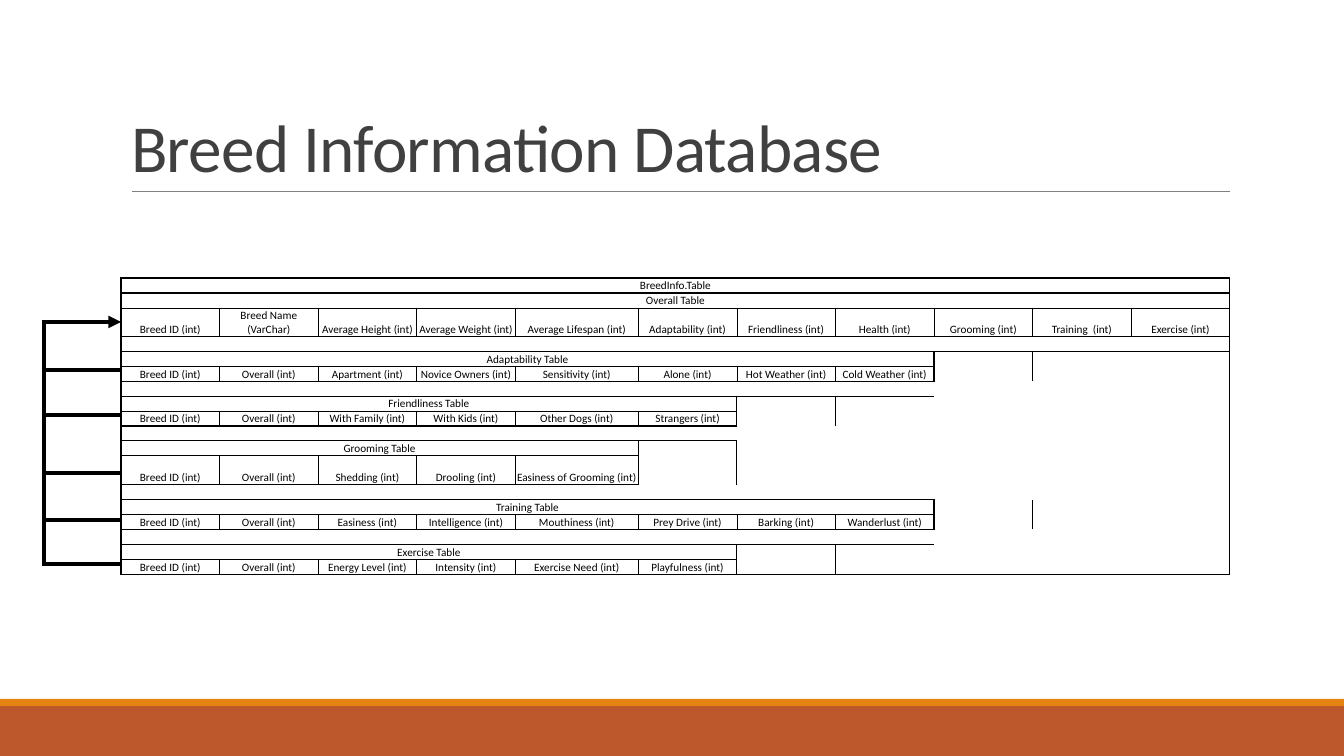
import dataclasses

import lxml.etree
import pptx
import pptx.dml.color
import pptx.enum.shapes
import pptx.enum.text
import pptx.oxml
import pptx.oxml.ns
import pptx.util

PX = 12192000 / 1344  # EMU in one pixel


@dataclasses.dataclass(frozen=True)
class Theme:
    """Colours, font and type sizes of the slide."""
    font: str = "Calibri"
    heading: str = "404040"
    ink: str = "000000"
    rule: str = "808080"
    rust: str = "BD582C"
    orange: str = "E48312"
    title_size: int = 48
    cell_size: int = 8
    thin: float = 0.5
    medium: float = 1
    thick: float = 3


THEME = Theme()
qn = pptx.oxml.ns.qn
rgb = pptx.dml.color.RGBColor.from_string


def px(pixels):
    """Turn pixels into EMU."""
    return pptx.util.Emu(round(pixels * PX))


def add_line(start, end, colour, weight):
    """Draw a straight shadowless line and return its a:ln element."""
    line = slide.shapes.add_connector(
        pptx.enum.shapes.MSO_CONNECTOR.STRAIGHT, *map(px, start + end))
    line.line.color.rgb = rgb(colour)
    line.line.width = pptx.util.Pt(weight)
    properties = line._element.spPr
    lxml.etree.SubElement(properties, qn("a:effectLst"))
    return properties.find(qn("a:ln"))


deck = pptx.Presentation()
deck.slide_width, deck.slide_height = px(1344), px(756)
slide = deck.slides.add_slide(deck.slide_layouts[5])

# Footer bands and the rule under the title
for top, height, colour in ((706, 50, THEME.rust), (699, 7, THEME.orange)):
    band = slide.shapes.add_shape(
        pptx.enum.shapes.MSO_SHAPE.RECTANGLE, 0, px(top), px(1344), px(height))
    band.shadow.inherit = False
    band.fill.solid()
    band.fill.fore_color.rgb = rgb(colour)
    band.line.fill.background()
add_line((132, 191), (1230, 191), THEME.rule, THEME.thin)

# Title
title = slide.shapes.title
title.left, title.top, title.width, title.height = px(121), px(31), px(1109), px(160)
title.text_frame.word_wrap = True
title.text_frame.auto_size = pptx.enum.text.MSO_AUTO_SIZE.NONE
title.text_frame.vertical_anchor = pptx.enum.text.MSO_ANCHOR.BOTTOM
heading = title.text_frame.paragraphs[0]
heading.alignment = pptx.enum.text.PP_ALIGN.LEFT
heading.line_spacing = 0.85
heading_run = heading.add_run()
heading_run.text = "Breed Information Database"
heading_run.font.name = THEME.font
heading_run.font.size = pptx.util.Pt(THEME.title_size)
heading_run.font.color.rgb = rgb(THEME.heading)
heading_run.font._element.set("spc", "-50")

# Each breed table: name, height of its field row, fields
BREED_TABLES = (
    ("Overall", 28, ("Breed ID (int)", "Breed Name (VarChar)", "Average Height (int)",
                     "Average Weight (int)", "Average Lifespan (int)", "Adaptability (int)",
                     "Friendliness (int)", "Health (int)", "Grooming (int)",
                     "Training  (int)", "Exercise (int)")),
    ("Adaptability", 15, ("Breed ID (int)", "Overall (int)", "Apartment (int)",
                          "Novice Owners (int)", "Sensitivity (int)", "Alone (int)",
                          "Hot Weather (int)", "Cold Weather (int)")),
    ("Friendliness", 15, ("Breed ID (int)", "Overall (int)", "With Family (int)",
                          "With Kids (int)", "Other Dogs (int)", "Strangers (int)")),
    ("Grooming", 29, ("Breed ID (int)", "Overall (int)", "Shedding (int)",
                      "Drooling (int)", "Easiness of Grooming (int)")),
    ("Training", 15, ("Breed ID (int)", "Overall (int)", "Easiness (int)",
                      "Intelligence (int)", "Mouthiness (int)", "Prey Drive (int)",
                      "Barking (int)", "Wanderlust (int)")),
    ("Exercise", 15, ("Breed ID (int)", "Overall (int)", "Energy Level (int)",
                      "Intensity (int)", "Exercise Need (int)", "Playfulness (int)")),
)
COLUMNS = 11
ROWS = 3 * len(BREED_TABLES)
TABLE_WIDTH, LIFESPAN_WIDTH, LIFESPAN_COLUMN = 1109, 123, 4

frame = slide.shapes.add_table(ROWS, COLUMNS, px(121), px(278), px(TABLE_WIDTH), px(292))
database = frame.table
database.first_row = database.horz_banding = False
database._tbl.tblPr.find(qn("a:tableStyleId")).text = "{2D5ABB26-0587-4C30-8999-92F81FD0307C}"
for column in range(COLUMNS):
    database.columns[column].width = px(
        LIFESPAN_WIDTH if column == LIFESPAN_COLUMN
        else (TABLE_WIDTH - LIFESPAN_WIDTH) / (COLUMNS - 1))

# Lay out rows in threes: header or gap, table name, fields
texts = {(0, 0): "BreedInfo.Table"}
spans = {0: COLUMNS}
borders = {}
for index, (name, field_height, fields) in enumerate(BREED_TABLES):
    gap_row, name_row, field_row = range(3 * index, 3 * index + 3)
    name_height = 14 if index else 15
    for row, height in zip((gap_row, name_row, field_row), (15, name_height, field_height)):
        database.rows[row].height = px(height)
    texts[name_row, 0] = f"{name} Table"
    spans[name_row] = len(fields)
    last = len(fields) - 1
    for column, field in enumerate(fields):
        texts[field_row, column] = field
        borders[name_row, column, "T"] = borders[field_row, column, "B"] = THEME.medium
        borders[name_row, column, "B"] = THEME.thin
        borders[field_row, column, "R"] = THEME.medium if column == last else THEME.thin
    borders[name_row, last, "R"] = THEME.medium

# Outer frame of the whole database
for column in range(COLUMNS):
    borders[0, column, "T"] = borders[ROWS - 1, column, "B"] = THEME.medium
for row in range(ROWS):
    borders[row, 0, "L"] = borders[row, COLUMNS - 1, "R"] = THEME.medium

# Neighbouring cells share each edge
NEIGHBOURS = {"L": (0, -1, "R"), "R": (0, 1, "L"), "T": (-1, 0, "B"), "B": (1, 0, "T")}
for (row, column, side), weight in list(borders.items()):
    down, across, facing = NEIGHBOURS[side]
    borders.setdefault((row + down, column + across, facing), weight)
for row in spans:
    borders[row, 0, "R"] = THEME.medium

for row in range(ROWS):
    for column in range(COLUMNS):
        cell = database.cell(row, column)
        cell.fill.background()
        cell.vertical_anchor = pptx.enum.text.MSO_ANCHOR.BOTTOM
        cell.margin_left = cell.margin_right = cell.margin_top = px(1)
        cell.margin_bottom = 0
        paragraph = cell.text_frame.paragraphs[0]
        if (row, column) in texts:
            paragraph.alignment = pptx.enum.text.PP_ALIGN.CENTER
            run = paragraph.add_run()
            run.text = texts[row, column]
            run.font.name = THEME.font
            run.font.size = pptx.util.Pt(THEME.cell_size)
            run.font.color.rgb = rgb(THEME.ink)
        else:
            lxml.etree.SubElement(paragraph._p, qn("a:endParaRPr"), sz=str(THEME.cell_size * 100))
        edges = [side for side in "LRTB" if (row, column, side) in borders]
        for position, side in enumerate(edges):
            width = pptx.util.Pt(borders[row, column, side])
            edge = pptx.oxml.parse_xml(
                f'<a:ln{side} xmlns:a="http://schemas.openxmlformats.org/drawingml/2006/main" '
                f'w="{width}"><a:solidFill><a:srgbClr val="{THEME.ink}"/></a:solidFill></a:ln{side}>')
            cell._tc.tcPr.insert(position, edge)
for row, span in spans.items():
    database.cell(row, 0).merge(database.cell(row, span - 1))

# Breed ID links: every table leads back to the Overall table
SPINE, TABLE_EDGE = 44, 121
OVERALL_Y, LINK_YS = 322, (370, 415, 473, 520, 564)
add_line((SPINE, OVERALL_Y), (SPINE, LINK_YS[-1]), THEME.ink, THEME.thick)
overall_link = add_line((SPINE - 2, OVERALL_Y), (TABLE_EDGE, OVERALL_Y), THEME.ink, THEME.thick)
lxml.etree.SubElement(overall_link, qn("a:tailEnd"), type="triangle")
for link_y in LINK_YS:
    add_line((TABLE_EDGE, link_y), (SPINE - 2, link_y), THEME.ink, THEME.thick)

deck.save("out.pptx")
